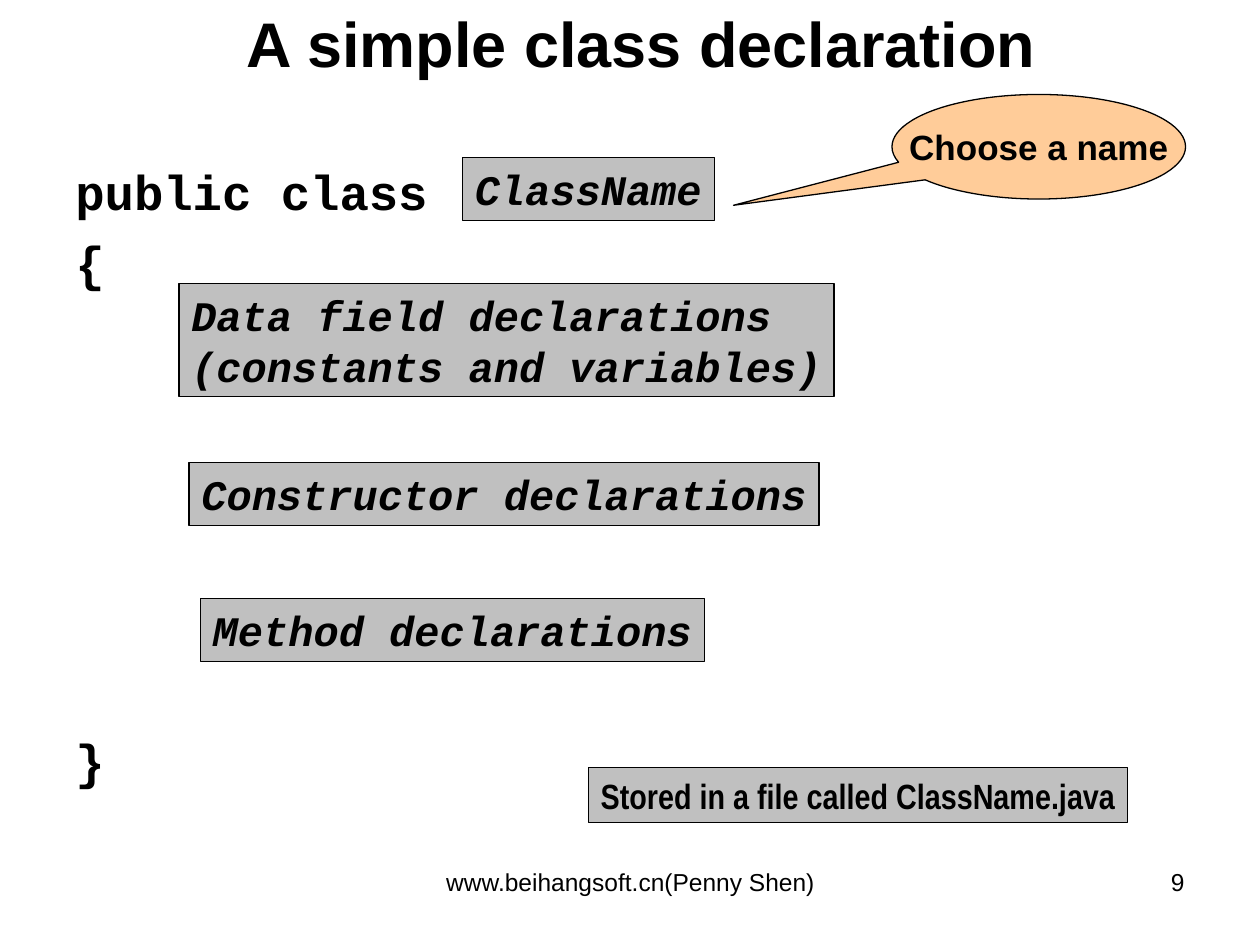
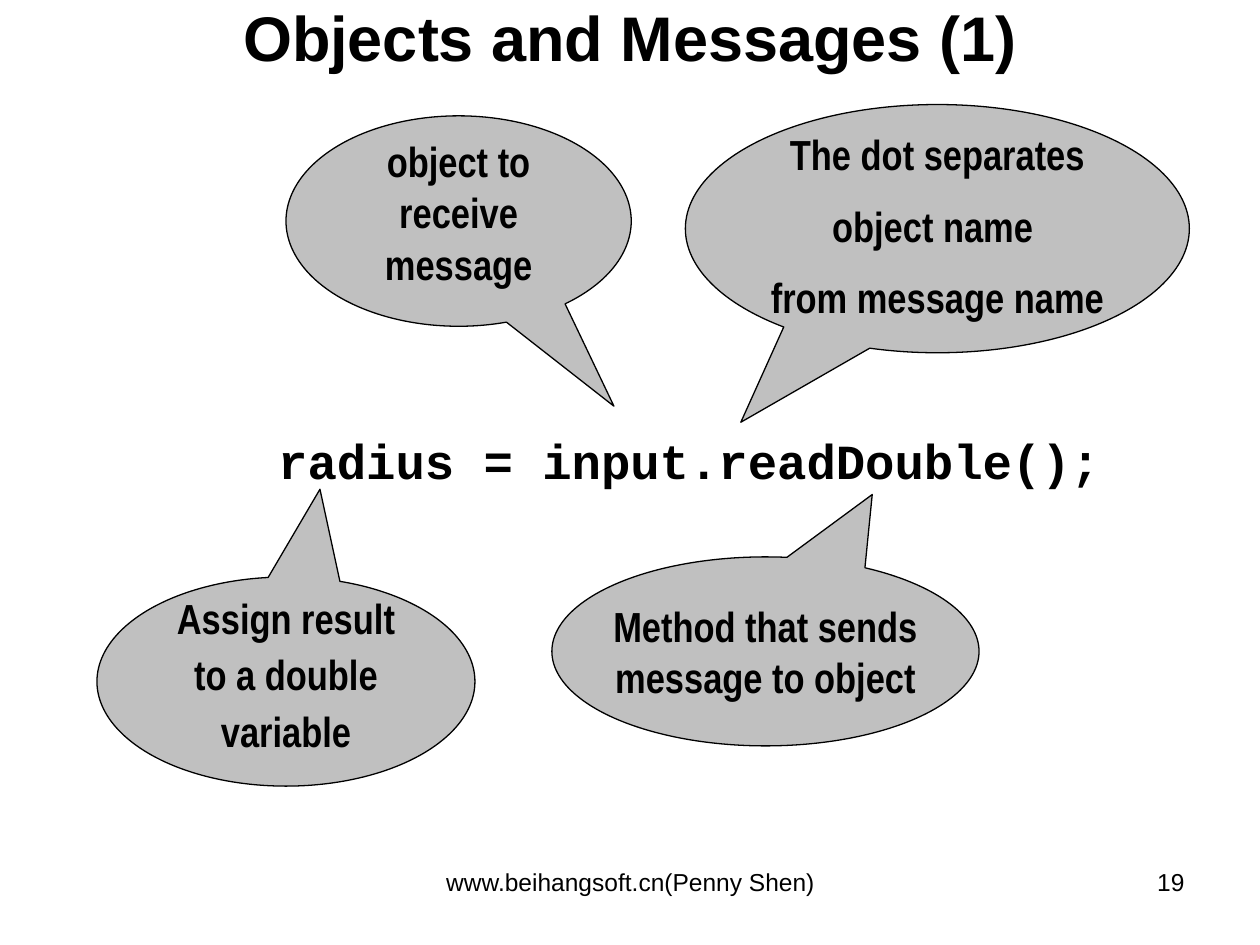
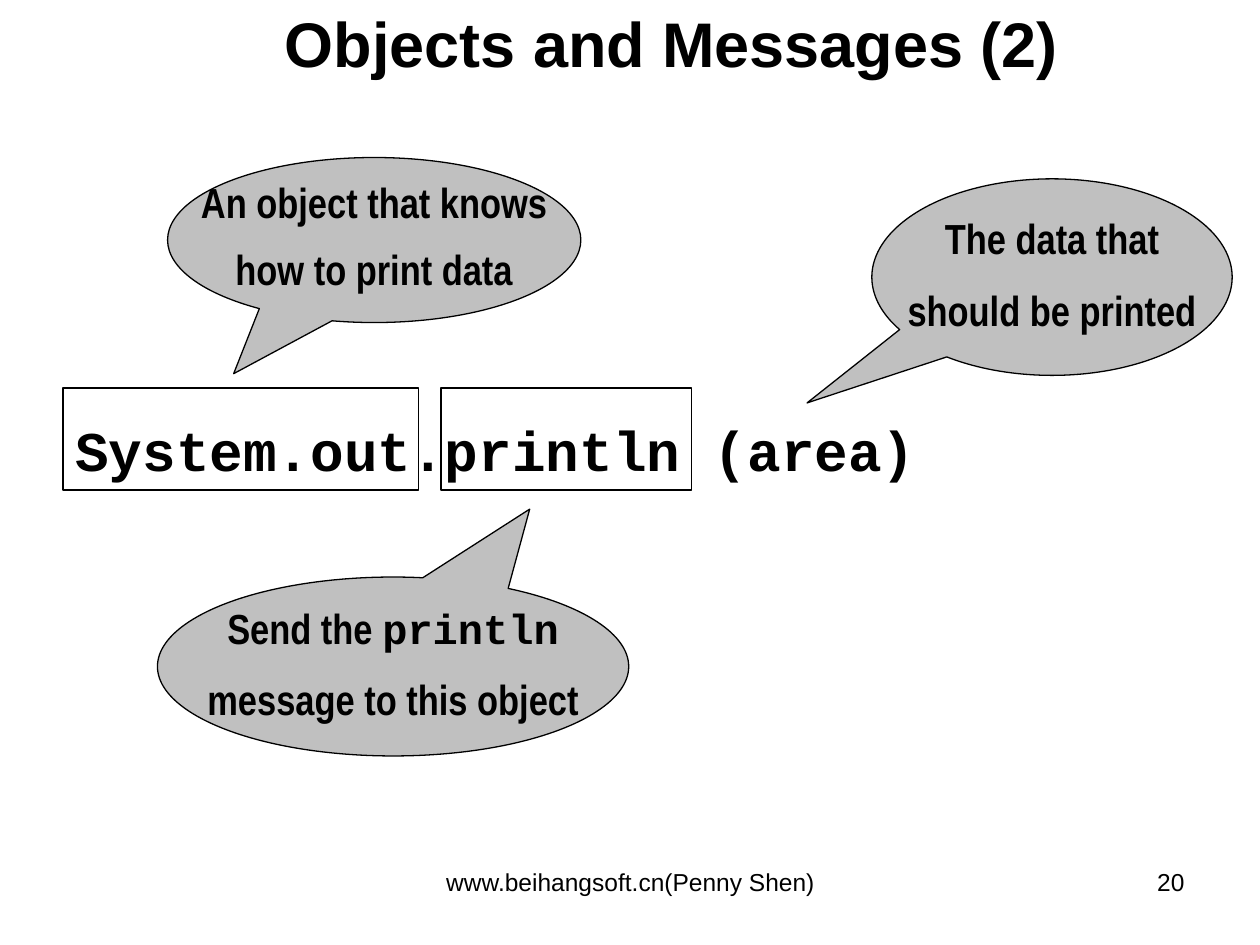
from pptx import Presentation
from pptx.dml.color import RGBColor
from pptx.enum.shapes import MSO_SHAPE as SHAPE
from pptx.enum.text import MSO_ANCHOR as ANCHOR, MSO_AUTO_SIZE as AUTO_SIZE, PP_ALIGN as ALIGN
from pptx.util import Inches, Pt

BLACK = RGBColor(0x00, 0x00, 0x00)
GREY = RGBColor(0xC0, 0xC0, 0xC0)
PEACH = RGBColor(0xFF, 0xCC, 0x99)
CODE_FONT = "Courier New"

TITLE = {"name": "Arial", "size": Pt(36), "bold": True}
FOOTER = {"name": "Arial", "size": Pt(14), "bold": False}
CODE = {"name": CODE_FONT, "size": Pt(28), "bold": True}
LARGE_CODE = {**CODE, "size": Pt(32)}
PART = {**CODE, "size": Pt(24), "italic": True}
NOTE = {"name": "Arial Narrow", "size": Pt(24), "bold": True}
FILE_NOTE = {**NOTE, "size": Pt(20)}
NAME_NOTE = {**FILE_NOTE, "name": "Arial"}


def write_text(shape, lines, font_format, align=ALIGN.LEFT, anchor=ANCHOR.MIDDLE,
               wrap=False, spacing=None, gaps=()):
    frame = shape.text_frame
    frame.auto_size = AUTO_SIZE.NONE
    frame.word_wrap = wrap
    frame.vertical_anchor = anchor
    for index, line in enumerate(lines):
        paragraph = frame.paragraphs[0] if index == 0 else frame.add_paragraph()
        paragraph.alignment = align
        if spacing:
            paragraph.line_spacing = spacing
        if index:
            paragraph.space_before = Pt(gaps[index - 1] if gaps else 15)
        for row, row_text in enumerate(line.split("\n")):
            if row:
                paragraph.add_line_break()
            for position, text in enumerate(row_text.split("`")):
                run = paragraph.add_run()
                run.text = text
                for attribute, value in font_format.items():
                    setattr(run.font, attribute, value)
                if position % 2:
                    run.font.name = CODE_FONT
                run.font.color.rgb = BLACK


def add_outlined(slide, preset, place, fill=None):
    shape = slide.shapes.add_shape(preset, *map(Inches, place))
    shape.shadow.inherit = False
    shape.line.color.rgb = BLACK
    shape.line.width = Pt(0.75)
    if fill is None:
        shape.fill.background()
    else:
        shape.fill.solid()
        shape.fill.fore_color.rgb = fill
    return shape


presentation = Presentation()
presentation.slide_width = Inches(10)
presentation.slide_height = Inches(7.5)

slides = [
    {
        "title": "A simple class declaration",
        "title_place": (0.42, 0, 9.34, 0.67),
        "number": "9",
        "code": (["public class", "{", "}"], (0.5, 1.23, 4, 5.3), CODE, (7, 251)),
        "boxes": [
            ("ClassName", (3.67, 1.25, 2, 0.5), PART, ALIGN.LEFT),
            ("Data field declarations\n(constants and variables)", (1.42, 2.25, 5.2, 0.9), PART, ALIGN.LEFT),
            ("Constructor declarations", (1.5, 3.67, 5, 0.5), PART, ALIGN.LEFT),
            ("Method declarations", (1.59, 4.75, 4, 0.5), PART, ALIGN.LEFT),
            ("Stored in a file called ClassName.java", (4.67, 6.09, 4.28, 0.44), FILE_NOTE, ALIGN.CENTER),
        ],
        "frames": [],
        "callouts": [
            (["Choose a name"], (7.08, 0.75, 2.33, 0.83), (-1.04, 0.56), None, NAME_NOTE, PEACH),
        ],
    },
    {
        "title": "Objects and Messages (1)",
        "title_place": (0.33, 0, 9.34, 0.58),
        "number": "19",
        "code": (["radius = input.readDouble();"], (2.11, 3.37, 6.8, 0.55), CODE, ()),
        "boxes": [],
        "frames": [],
        "callouts": [
            (["object to", "receive", "message"], (2.27, 0.92, 2.74, 1.67), (0.45, 0.88), 0.5, NOTE, GREY),
            (["Method that sends\nmessage to object"], (4.38, 4.42, 3.39, 1.5), (0.25, -0.83), None, NOTE, GREY),
            (["Assign result", "to a double", "variable"], (0.77, 4.58, 3, 1.66), (0.09, -0.92), 0.6, NOTE, GREY),
            (["The dot separates", "object name ", "from message name"],
             (5.44, 0.83, 4, 1.97), (-0.39, 0.78), 0.9, NOTE, GREY),
        ],
    },
    {
        "title": "Objects and Messages (2)",
        "title_place": (0.66, 0, 9.34, 0.67),
        "number": "20",
        "code": (["System.out.println (area)"], (0.5, 3.25, 7, 0.6), LARGE_CODE, ()),
        "boxes": [],
        "frames": [(0.5, 3.08, 2.82, 0.81), (3.5, 3.08, 1.99, 0.81)],
        "callouts": [
            (["An object that knows", "how to print data"], (1.33, 1.25, 3.28, 1.31), (-0.34, 0.81), 0.8, NOTE, GREY),
            (["Send the `println", "message to this object"],
             (1.25, 4.58, 3.74, 1.42), (0.29, -0.88), 0.9, NOTE, GREY),
            (["The data that", "should be printed"], (6.92, 1.42, 2.86, 1.56), (-0.68, 0.64), 0.9, NOTE, GREY),
        ],
    },
]

for content in slides:
    slide = presentation.slides.add_slide(presentation.slide_layouts[5])
    title = slide.shapes.title
    title.left, title.top, title.width, title.height = map(Inches, content["title_place"])
    write_text(title, [content["title"]], TITLE, ALIGN.CENTER, wrap=True)

    lines, place, font_format, gaps = content["code"]
    code = slide.shapes.add_textbox(*map(Inches, place))
    write_text(code, lines, font_format, anchor=ANCHOR.TOP, wrap=True, gaps=gaps)

    for text, place, font_format, align in content["boxes"]:
        box = add_outlined(slide, SHAPE.RECTANGLE, place, GREY)
        write_text(box, [text], font_format, align)

    for place in content["frames"]:
        add_outlined(slide, SHAPE.RECTANGLE, place)

    for lines, place, pointer, spacing, font_format, fill in content["callouts"]:
        callout = add_outlined(slide, SHAPE.OVAL_CALLOUT, place, fill)
        callout.adjustments[0], callout.adjustments[1] = pointer
        write_text(callout, lines, font_format, ALIGN.CENTER, spacing=spacing)

    for text, left, width, align in [
        ("www.beihangsoft.cn(Penny Shen)", 3.42, 3.17, ALIGN.CENTER),
        (content["number"], 7.17, 2.33, ALIGN.RIGHT),
    ]:
        footer = slide.shapes.add_textbox(Inches(left), Inches(6.83), Inches(width), Inches(0.52))
        write_text(footer, [text], FOOTER, align, ANCHOR.TOP, wrap=True)

presentation.save("out.pptx")
